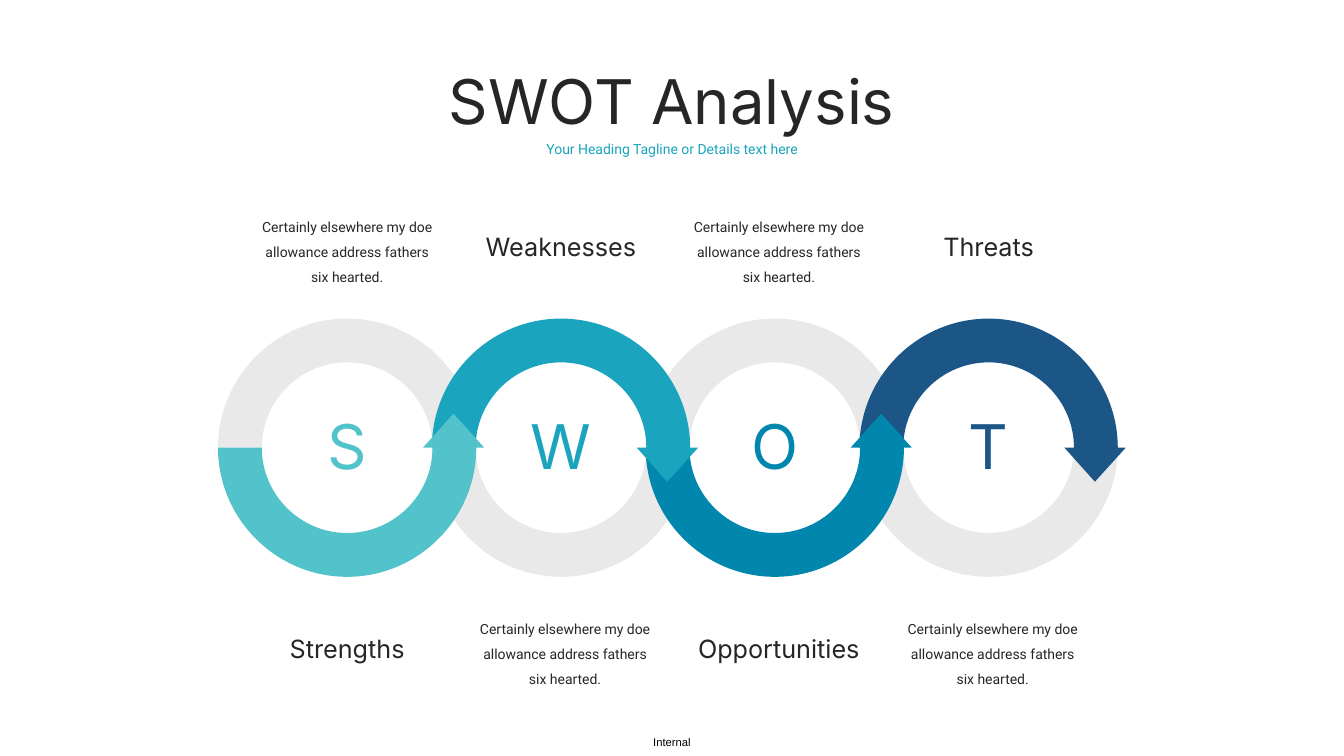
from dataclasses import dataclass

from pptx import Presentation
from pptx.dml.color import RGBColor
from pptx.enum.text import MSO_ANCHOR, MSO_AUTO_SIZE, PP_ALIGN
from pptx.oxml.ns import qn
from pptx.shapes.shapetree import SlideShapes
from pptx.text.text import TextFrame
from pptx.util import Inches, Pt

CENTER = PP_ALIGN.CENTER
TOP = MSO_ANCHOR.TOP
NO_AUTOFIT = MSO_AUTO_SIZE.NONE

SLIDE_W, SLIDE_H = Inches(13.33), Inches(7.5)
INK = RGBColor(0x26, 0x26, 0x26)
BLACK = RGBColor(0x00, 0x00, 0x00)
GREY = RGBColor(0xE9, 0xE9, 0xEA)
AQUA = RGBColor(0x52, 0xC3, 0xCB)
TEAL = RGBColor(0x1B, 0xA4, 0xBE)
CERULEAN = RGBColor(0x01, 0x87, 0xAE)
NAVY = RGBColor(0x1C, 0x56, 0x87)


def across(percent: float) -> int:
    """Share of the slide width."""
    return round(SLIDE_W * percent / 100)


def down(percent: float) -> int:
    """Share of the slide height."""
    return round(SLIDE_H * percent / 100)


# Ring chain
FIRST_CENTER, PITCH = across(25.83), across(15.91)
AXIS_Y = down(59.22)
OUTER, INNER = across(9.61), across(6.35)
HEAD_OUTER, HEAD_TIP, HEAD_INNER = across(10.2), across(7.91), across(5.64)
HEAD_LENGTH = down(4.5)
BEZIER_CIRCLE = 0.55  # handle length of a quarter circle, as share of its radius

# Text rows: the upper and lower bands
HEADING_ROWS = {True: down(30), False: down(83.07)}
DETAIL_ROWS = {True: down(27.13), False: down(80.27)}
DETAIL_LINES = ["Certainly elsewhere my doe allowance address fathers", "six hearted."]


@dataclass(frozen=True)
class Quadrant:
    letter: str
    heading: str
    color: RGBColor
    upper: bool  # coloured half and heading lie above the axis
    heading_width: float  # widths and shifts in percent of the slide width
    heading_shift: float = 0
    detail_shift: float = 0


@dataclass(frozen=True)
class Style:
    font: str
    size: float
    color: RGBColor
    line_spacing: float = 1.0


QUADRANTS = [
    Quadrant("S", "Strengths", AQUA, False, 11.03),
    Quadrant("W", "Weaknesses", TEAL, True, 13.2, detail_shift=0.3),
    Quadrant("O", "Opportunities", CERULEAN, False, 14.18, 0.3, 0.3),
    Quadrant("T", "Threats", NAVY, True, 11.03, detail_shift=0.3),
]
HEADING_STYLE = Style("Inter", 18, INK)
DETAIL_STYLE = Style("Roboto", 10, INK, 1.5)


def write(frame: TextFrame, lines: list[str], style: Style) -> None:
    frame.word_wrap = True
    frame.auto_size = NO_AUTOFIT
    frame.vertical_anchor = TOP
    for index, line in enumerate(lines):
        paragraph = frame.paragraphs[0] if index == 0 else frame.add_paragraph()
        paragraph.alignment = CENTER
        paragraph.line_spacing = style.line_spacing
        paragraph.space_before = Pt(0)
        run = paragraph.add_run()
        run.text = line
        run.font.name = style.font
        run.font.size = Pt(style.size)
        run.font.color.rgb = style.color


def add_label(shapes: SlideShapes, center: int, top: int, width: int, height: int,
              lines: list[str], style: Style) -> TextFrame:
    frame = shapes.add_textbox(center - width // 2, top, width, height).text_frame
    write(frame, lines, style)
    return frame


def add_half_ring(shapes: SlideShapes, center: int, upper: bool,
                  color: RGBColor, arrow: bool) -> None:
    side = -1 if upper else 1

    def arc(radius: int) -> list[tuple[float, float]]:
        """Two quarter-circle curves, left to right, with their handles."""
        handle = radius * BEZIER_CIRCLE
        offsets = [(-radius, 0), (-radius, handle), (-handle, radius), (0, radius),
                   (handle, radius), (radius, handle), (radius, 0)]
        return [(center + dx, AXIS_Y + side * dy) for dx, dy in offsets]

    head = [(center + HEAD_INNER, AXIS_Y),
            (center + HEAD_TIP, AXIS_Y - side * HEAD_LENGTH),
            (center + HEAD_OUTER, AXIS_Y)]
    points = arc(INNER) + (head if arrow else []) + arc(OUTER)[::-1]
    builder = shapes.build_freeform(*points[0])
    builder.add_line_segments(points[1:], close=True)
    ring = builder.convert_to_shape()
    ring.shadow.inherit = False
    ring.fill.solid()
    ring.fill.fore_color.rgb = color
    ring.line.fill.background()

    # Join the points of each quarter circle into one Bezier curve
    segments = list(ring.element.iter(qn("a:lnTo")))
    for start in (0, 3, len(segments) - 6, len(segments) - 3):
        curve, *rest = segments[start:start + 3]
        curve.tag = qn("a:cubicBezTo")
        for segment in rest:
            curve.append(segment[0])
            segment.getparent().remove(segment)


def main() -> None:
    deck = Presentation()
    deck.slide_width, deck.slide_height = SLIDE_W, SLIDE_H
    slide = deck.slides.add_slide(deck.slide_layouts[0])
    shapes = slide.shapes

    # Title and tagline
    title, tagline = shapes.title, slide.placeholders[1]
    title.left, title.top = across(31.55), down(7.6)
    title.width, title.height = across(36.9), down(11.2)
    write(title.text_frame, ["SWOT Analysis"], Style("Inter", 44, INK))
    tagline.left, tagline.top = across(39.46), down(17.87)
    tagline.width, tagline.height = across(21.08), down(3.6)
    write(tagline.text_frame, ["Your Heading Tagline or Details text here"],
          Style("Roboto", 10, TEAL))

    # Grey halves behind, then arrows from right to left
    columns = [(FIRST_CENTER + i * PITCH, part) for i, part in enumerate(QUADRANTS)]
    for center, part in columns:
        add_half_ring(shapes, center, not part.upper, GREY, arrow=False)
    for center, part in reversed(columns):
        add_half_ring(shapes, center, part.upper, part.color, arrow=True)

    # Letters, headings and details
    for center, part in columns:
        add_label(shapes, center, down(53.33), across(6.1), down(11.2),
                  [part.letter], Style("Inter", 44, part.color))
        add_label(shapes, center + across(part.heading_shift), HEADING_ROWS[part.upper],
                  across(part.heading_width), down(5.33), [part.heading], HEADING_STYLE)
        add_label(shapes, center + across(part.detail_shift), DETAIL_ROWS[not part.upper],
                  across(15.23), down(11.07), DETAIL_LINES, DETAIL_STYLE)

    # Classification footer
    footer = add_label(shapes, across(50), down(97.33), across(3), down(1.73),
                       ["Internal"], Style("Arial", 8, BLACK))
    footer.margin_left = footer.margin_right = footer.margin_top = footer.margin_bottom = 0
    footer.word_wrap = False

    deck.save("out.pptx")


if __name__ == "__main__":
    main()
